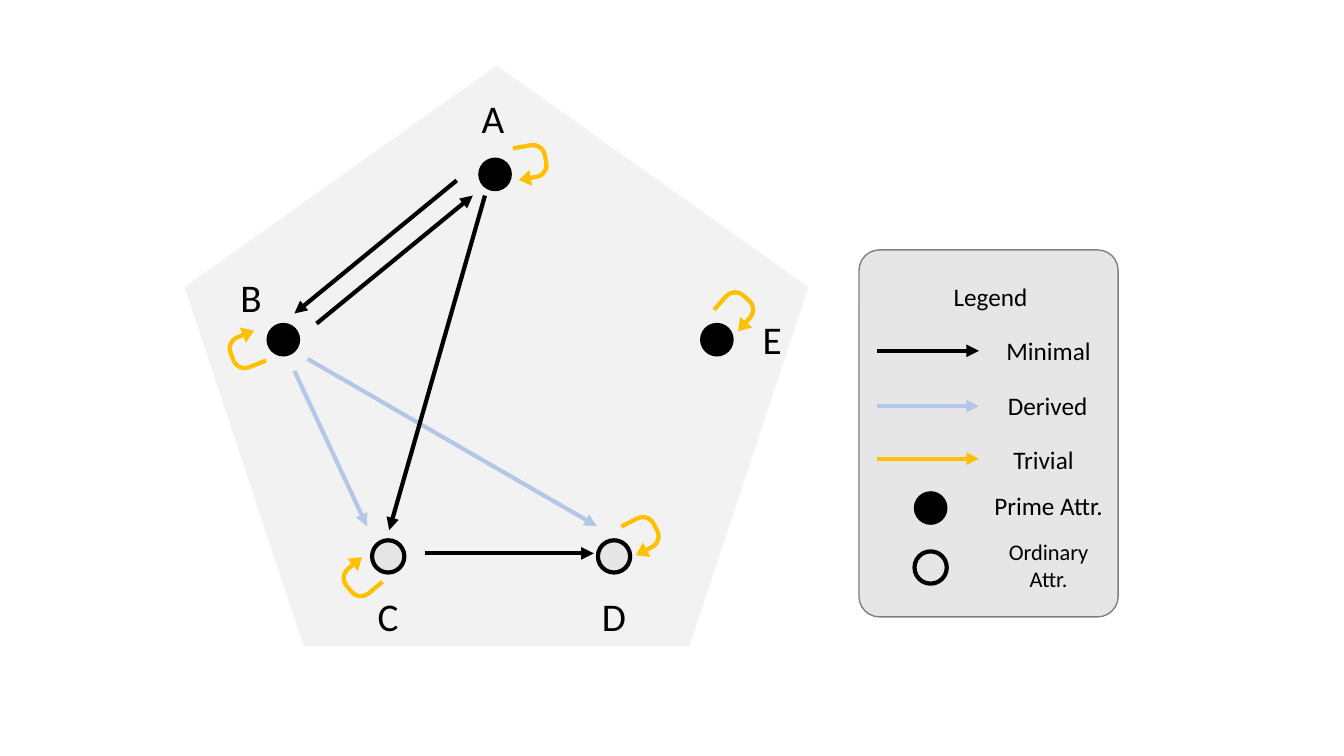
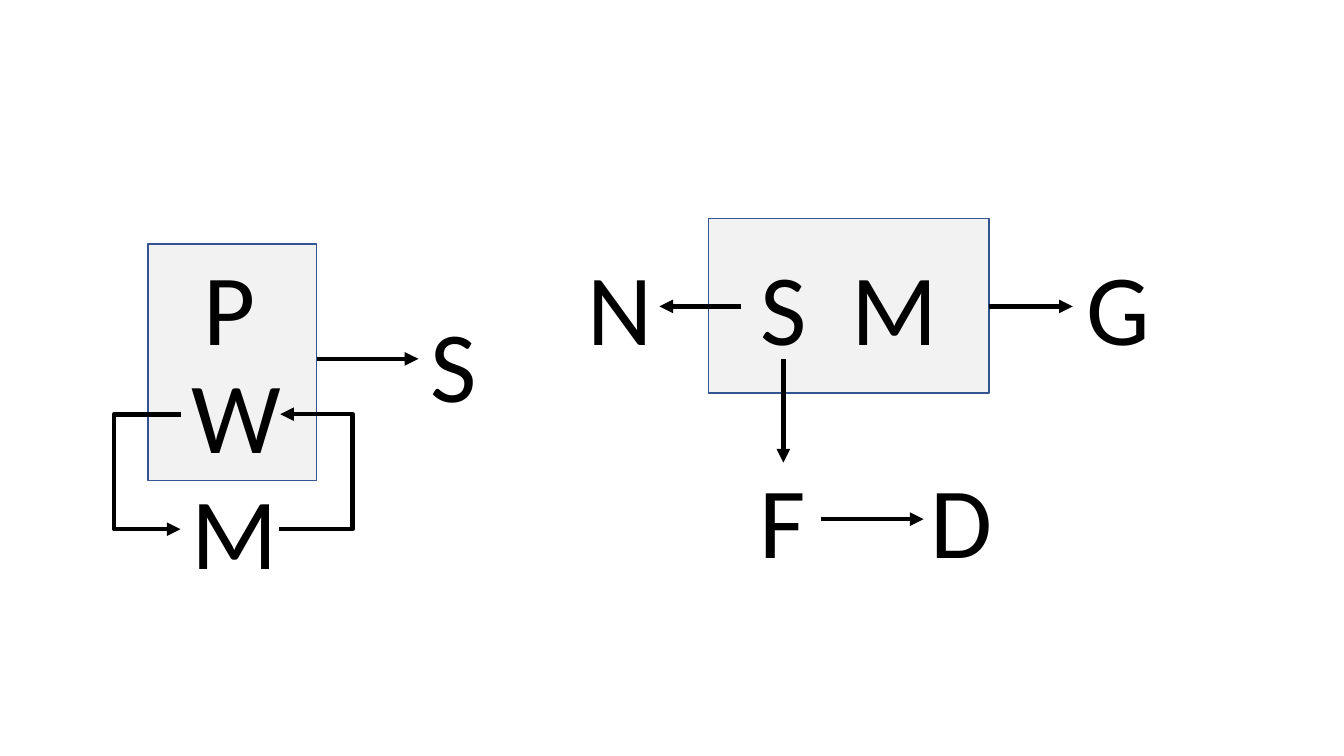
from lxml import etree
from pptx import Presentation
from pptx.dml.color import RGBColor
from pptx.enum.shapes import MSO_CONNECTOR, MSO_SHAPE
from pptx.enum.text import MSO_AUTO_SIZE, PP_ALIGN
from pptx.oxml.ns import qn
from pptx.util import Inches, Pt

STRAIGHT, ELBOW = MSO_CONNECTOR.STRAIGHT, MSO_CONNECTOR.ELBOW
PENTAGON, RECTANGLE = MSO_SHAPE.REGULAR_PENTAGON, MSO_SHAPE.RECTANGLE
ROUNDED, OVAL, U_TURN = MSO_SHAPE.ROUNDED_RECTANGLE, MSO_SHAPE.OVAL, MSO_SHAPE.U_TURN_ARROW
CENTER = PP_ALIGN.CENTER
FIT_TEXT = MSO_AUTO_SIZE.SHAPE_TO_FIT_TEXT

BLACK, PALE, PANEL, GRAY = "000000", "F2F2F2", "E7E6E6", "808080"
BLUE, GOLD, NAVY = "B4C7E7", "FFC000", "325491"
FONT = "Calibri"
DOT = 0.32
LOOP_SIZE = (0.42, 0.32)
LOOP_ADJUSTMENTS = (0.132, 0.25, 0.375, 0.438, 1)

ATTRIBUTES = [
    {"name": "A", "label": (4.52, 0.89), "dot": (4.75, 1.57), "prime": True, "loop": (5.07, 1.47), "turn": 79.6},
    {"name": "B", "label": (2.12, 2.66), "dot": (2.65, 3.21), "prime": True, "loop": (2.21, 3.3), "turn": 248.4},
    {"name": "C", "label": (3.48, 5.83), "dot": (3.69, 5.36), "prime": False, "loop": (3.34, 5.57), "turn": 230},
    {"name": "D", "label": (5.72, 5.83), "dot": (5.93, 5.36), "prime": False, "loop": (6.18, 5.16), "turn": 63},
    {"name": "E", "label": (7.29, 3.08), "dot": (6.95, 3.21), "prime": True, "loop": (7.12, 2.92), "turn": 41.7},
]
DEPENDENCIES = [
    ((3.05, 3.56), (5.92, 5.22), BLUE),
    ((2.92, 3.68), (3.64, 5.22), BLUE),
    ((4.53, 1.79), (2.92, 3.11), BLACK),
    ((3.14, 3.21), (4.69, 1.94), BLACK),
    ((4.81, 1.94), (3.86, 5.26), BLACK),
    ((4.22, 5.49), (5.89, 5.49), BLACK),
]
LEGEND_ARROWS = [(3.48, BLACK), (4.03, BLUE), (4.55, GOLD)]
LEGEND_DOTS = [(4.88, True), (5.47, False)]
LEGEND_LABELS = [
    ("Legend", (8.81, 2.74, 2.03, 0.4), 18),
    ("Minimal", (9.71, 3.28, 1.38, 0.4), 18),
    ("Derived", (9.7, 3.82, 1.38, 0.4), 18),
    ("Trivial", (9.66, 4.36, 1.38, 0.4), 18),
    ("Prime Attr.", (9.71, 4.82, 1.38, 0.4), 18),
    ("Ordinary Attr.", (9.71, 5.29, 1.38, 0.64), 16),
]

KEY_BOXES = [(7.03, 2.17, 2.78, 1.73), (1.47, 2.42, 1.67, 2.35)]
LETTER_HEIGHT = 1.31
LETTERS = [
    (["S", " ", "M"], 7.03, 2.38, 2.78),
    (["G"], 10.64, 2.38, 0.91),
    (["D"], 9.01, 4.49, 1.05),
    (["N"], 5.62, 2.38, 1.05),
    (["F"], 7.24, 4.49, 1.05),
    (["W"], 1.8, 3.45, 0.97),
    (["S"], 3.94, 2.94, 1.12),
    (["M"], 1.8, 4.6, 0.97),
    (["P"], 1.72, 2.38, 1.12),
]
LETTER_ARROWS = [
    ((9.81, 3.04), (10.64, 3.04)),
    ((7.77, 3.56), (7.77, 4.59)),
    ((7.35, 3.04), (6.54, 3.04)),
    ((8.14, 5.15), (9.16, 5.15)),
    ((3.14, 3.56), (4.15, 3.56)),
]
BENT_ARROWS = [
    {"start": (1.79, 5.25), "end": (1.8, 4.11), "reach": 0.68, "rotation": 180},
    {"start": (2.77, 5.25), "end": (2.78, 4.11), "reach": 0.74, "rotation": 0},
]


def color(value):
    return RGBColor.from_string(value)


def add_block(slide, kind, box, fill, line=None, width=1, adjustments=(), rotation=0):
    shape = slide.shapes.add_shape(kind, *map(Inches, box))
    shape.shadow.inherit = False
    shape.rotation = rotation
    for index, value in enumerate(adjustments):
        shape.adjustments[index] = value
    shape.fill.solid()
    shape.fill.fore_color.rgb = color(fill)
    if line:
        shape.line.color.rgb = color(line)
        shape.line.width = Pt(width)
    else:
        shape.line.fill.background()


def add_dot(slide, left, top, prime):
    fill, width = (BLACK, 1) if prime else (PANEL, 3)
    add_block(slide, OVAL, (left, top, DOT, DOT), fill, BLACK, width)


def add_label(slide, parts, box, size):
    shape = slide.shapes.add_textbox(*map(Inches, box))
    frame = shape.text_frame
    frame.word_wrap = True
    frame.auto_size = FIT_TEXT
    paragraph = frame.paragraphs[0]
    paragraph.alignment = CENTER
    text_format = {"name": FONT, "size": Pt(size)}
    for part in parts:
        run = paragraph.add_run()
        run.text = part
        for attribute, value in text_format.items():
            setattr(run.font, attribute, value)
        run.font.color.rgb = color(BLACK)
        if part == " ":
            run._r.get_or_add_rPr().set("spc", "1600")


def add_arrow(slide, start, end, line, width, kind=STRAIGHT):
    points = map(Inches, (*start, *end))
    connector = slide.shapes.add_connector(kind, *points)
    connector.line.color.rgb = color(line)
    connector.line.width = Pt(width)
    properties = connector._element.spPr
    outline = properties.find(qn("a:ln"))
    etree.SubElement(outline, qn("a:tailEnd"), type="triangle")
    etree.SubElement(properties, qn("a:effectLst"))
    return properties


def add_bent_arrow(slide, start, end, reach, rotation):
    properties = add_arrow(slide, start, end, BLACK, 3.25, ELBOW)
    properties.find(qn("a:xfrm")).set("rot", str(rotation * 60000))
    geometry = properties.find(qn("a:prstGeom"))
    guides = geometry.find(qn("a:avLst"))
    if guides is None:
        guides = etree.SubElement(geometry, qn("a:avLst"))
    bend = round(reach / (end[0] - start[0]) * 100000)
    etree.SubElement(guides, qn("a:gd"), name="adj1", fmla=f"val {bend}")


def build_dependency_graph(slide):
    add_block(slide, PENTAGON, (1.83, 0.65, 6.19, 5.76), PALE)
    add_block(slide, ROUNDED, (8.52, 2.48, 2.57, 3.64), PANEL, GRAY, adjustments=(0.079,))
    for start, end, line in DEPENDENCIES:
        add_arrow(slide, start, end, line, 3)
    for attribute in ATTRIBUTES:
        add_dot(slide, *attribute["dot"], attribute["prime"])
        add_label(slide, [attribute["name"]], (*attribute["label"], 0.74, 0.57), 28)
        add_block(slide, U_TURN, (*attribute["loop"], *LOOP_SIZE), GOLD,
                  adjustments=LOOP_ADJUSTMENTS, rotation=attribute["turn"])
    for top, line in LEGEND_ARROWS:
        add_arrow(slide, (8.7, top), (9.71, top), line, 3)
    for top, prime in LEGEND_DOTS:
        add_dot(slide, 9.07, top, prime)
    for text, box, size in LEGEND_LABELS:
        add_label(slide, [text], box, size)


def build_key_diagrams(slide):
    for box in KEY_BOXES:
        add_block(slide, RECTANGLE, box, PALE, NAVY)
    for parts, left, top, width in LETTERS:
        add_label(slide, parts, (left, top, width, LETTER_HEIGHT), 72)
    for start, end in LETTER_ARROWS:
        add_arrow(slide, start, end, BLACK, 3.25)
    for bent_arrow in BENT_ARROWS:
        add_bent_arrow(slide, **bent_arrow)


presentation = Presentation()
presentation.slide_width = Inches(13.33)
presentation.slide_height = Inches(7.5)
blank_layout = presentation.slide_layouts[6]
for build in (build_dependency_graph, build_key_diagrams):
    build(presentation.slides.add_slide(blank_layout))
presentation.save("out.pptx")
